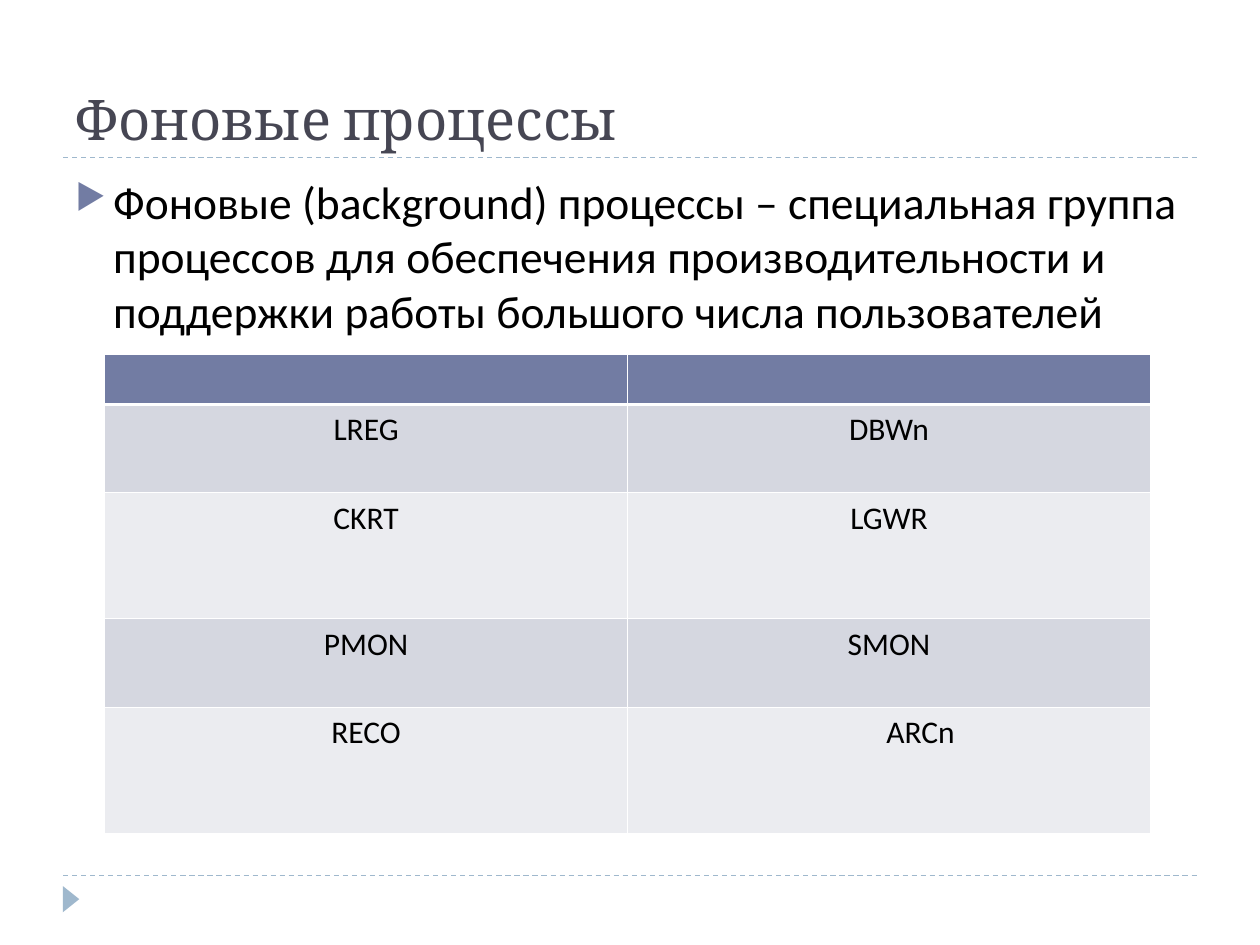
from lxml import etree
from pptx import Presentation
from pptx.dml.color import RGBColor
from pptx.enum.dml import MSO_LINE
from pptx.enum.shapes import MSO_CONNECTOR, MSO_SHAPE
from pptx.enum.text import MSO_ANCHOR, PP_ALIGN
from pptx.oxml.ns import qn
from pptx.util import Pt

DASH = MSO_LINE.DASH
STRAIGHT = MSO_CONNECTOR.STRAIGHT
TRIANGLE = MSO_SHAPE.ISOSCELES_TRIANGLE
BOTTOM = MSO_ANCHOR.BOTTOM
CENTER = PP_ALIGN.CENTER

ACCENT, SOFT_BLUE, WHITE = "727CA3", "9FB8CD", "FFFFFF"
BANDS = ["D5D7E0", "EBECF0"]
PROCESSES = [("LREG", "DBWn"), ("CKRT", "LGWR"), ("PMON", "SMON"), ("RECO", "ARCn")]
ROW_HEIGHTS = [28.8, 50.4, 72, 50.4, 72]
THIN, THICK = 0.45, 1.47


def paint(color_format, value):
    """Set a colour from a hex string."""
    color_format.rgb = RGBColor.from_string(value)


def fill_solid(fill, value):
    """Give a fill one solid colour."""
    fill.solid()
    paint(fill.fore_color, value)


def write(paragraph, wording, size, font, color):
    """Set the wording of a paragraph and format its runs."""
    paragraph.text = wording
    for run in paragraph.runs:
        run.font.size = Pt(size)
        run.font.name = font
        paint(run.font.color, color)


def add_rule(slide, left, top, width):
    """Draw a dashed horizontal rule."""
    rule = slide.shapes.add_connector(STRAIGHT, Pt(left), Pt(top), Pt(left + width), Pt(top))
    paint(rule.line.color, SOFT_BLUE)
    rule.line.width = Pt(0.75)
    rule.line.dash_style = DASH
    etree.SubElement(rule._element.spPr, qn("a:effectLst"))


def add_title(slide, left, top, width, height):
    """Place the heading with the rule under it."""
    add_rule(slide, left, top + height, width)
    heading = slide.shapes.add_textbox(Pt(left), Pt(top), Pt(width), Pt(height)).text_frame
    heading.word_wrap = True
    heading.vertical_anchor = BOTTOM
    write(heading.paragraphs[0], "Фоновые процессы", 32, "Cambria", "464653")


def add_definition(slide, left, top, width, height):
    """Place the bulleted definition."""
    frame = slide.shapes.add_textbox(Pt(left), Pt(top), Pt(width), Pt(height)).text_frame
    frame.word_wrap = True
    definition = frame.paragraphs[0]
    write(definition, "Фоновые (background) процессы – специальная группа процессов для "
          "обеспечения производительности и поддержки работы большого числа пользователей",
          26, "Calibri", "000000")
    definition.space_before = Pt(6)
    properties = definition._p.get_or_add_pPr()
    properties.set("marL", str(Pt(21.6)))
    properties.set("indent", str(-Pt(21.6)))
    bullet_color = etree.SubElement(properties, qn("a:buClr"))
    etree.SubElement(bullet_color, qn("a:srgbClr"), val=ACCENT)
    etree.SubElement(properties, qn("a:buSzPct"), val="76000")
    etree.SubElement(properties, qn("a:buChar"), char="▶")


def set_borders(cell, top, bottom):
    """Draw white cell borders, with the given top and bottom widths."""
    properties = cell._tc.get_or_add_tcPr()
    widths = {"a:lnL": THIN, "a:lnR": THIN, "a:lnT": top, "a:lnB": bottom}
    for position, (side, width) in enumerate(widths.items()):
        border = etree.Element(qn(side), w=str(Pt(width)))
        solid = etree.SubElement(border, qn("a:solidFill"))
        etree.SubElement(solid, qn("a:srgbClr"), val=WHITE)
        properties.insert(position, border)


def add_process_table(slide, left, top, width):
    """Place the banded table of process names under an empty header."""
    rows = [("", "")] + PROCESSES
    frame = slide.shapes.add_table(len(rows), 2, Pt(left), Pt(top), Pt(width),
                                   Pt(sum(ROW_HEIGHTS)))
    table = frame.table
    for column in table.columns:
        column.width = Pt(width / 2)
    for index, (names, height) in enumerate(zip(rows, ROW_HEIGHTS)):
        table.rows[index].height = Pt(height)
        for cell, name in zip(table.rows[index].cells, names):
            fill_solid(cell.fill, BANDS[(index - 1) % 2] if index else ACCENT)
            set_borders(cell, THICK if index == 1 else THIN, THIN if index else THICK)
            process = cell.text_frame.paragraphs[0]
            write(process, name, 18, "Calibri", "000000")
            process.alignment = CENTER
    process._p.get_or_add_pPr().set("marL", str(Pt(36)))


def add_footer(slide, left, top, width):
    """Place the footer rule and the pointer below it."""
    add_rule(slide, left, top, width)
    pointer = slide.shapes.add_shape(TRIANGLE, Pt(left - 2.9), Pt(top + 8.7), Pt(15), Pt(9.4))
    pointer.rotation = 90
    pointer.shadow.inherit = False
    fill_solid(pointer.fill, SOFT_BLUE)
    pointer.line.fill.background()


def main():
    """Build and save the slide."""
    deck = Presentation()
    deck.slide_width, deck.slide_height = Pt(720), Pt(540)
    slide = deck.slides.add_slide(deck.slide_layouts[6])
    add_footer(slide, 36, 500.4, 648)
    add_title(slide, 36, 12.2, 648, 77.8)
    add_definition(slide, 36, 95.8, 648, 388.8)
    add_process_table(slide, 59.8, 202.3, 597.6)
    deck.save("out.pptx")


if __name__ == "__main__":
    main()
